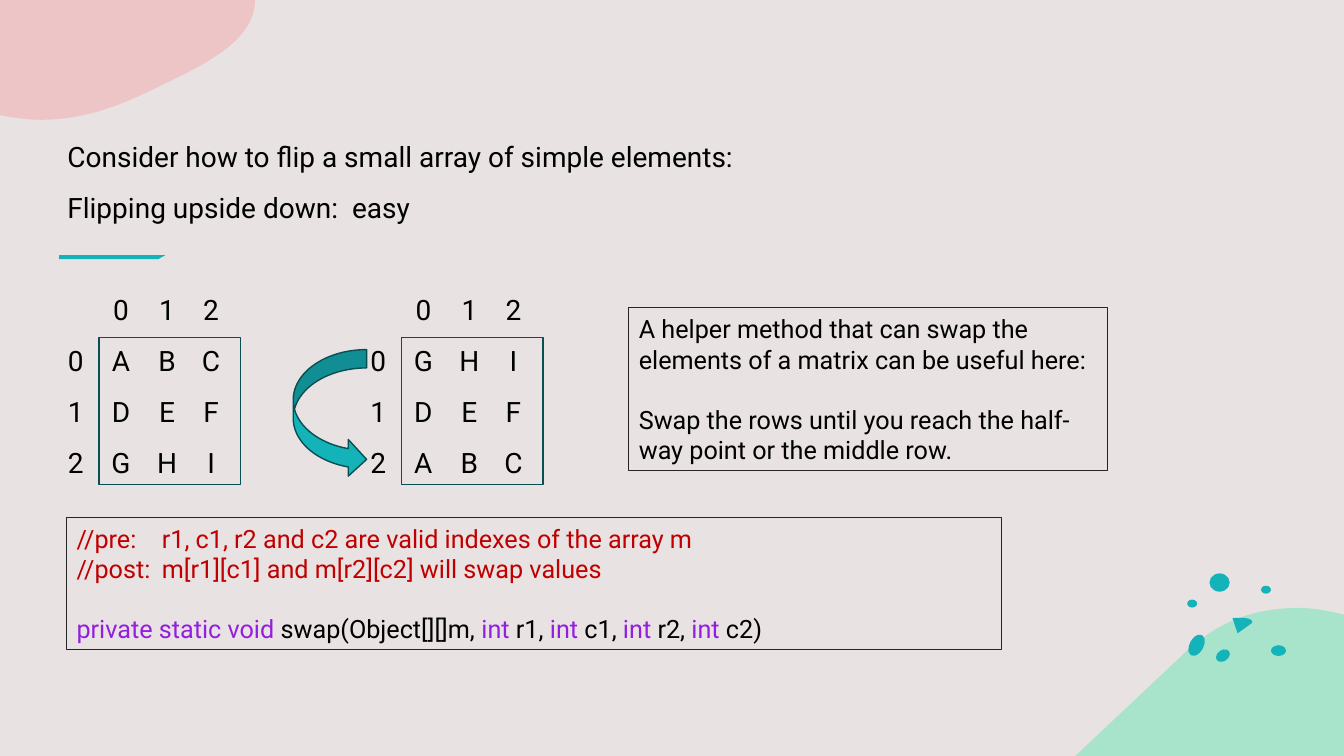
import pptx
import pptx.dml.color
import pptx.enum.shapes
import pptx.enum.text
import pptx.oxml
import pptx.oxml.ns
import pptx.util

Cm, Pt = pptx.util.Cm, pptx.util.Pt
SHAPES = pptx.enum.shapes.MSO_SHAPE

# Content
FONT = "Roboto"
BLACK, RED, PURPLE = "000000", "C00000", "941EDF"
TEAL, DARK_TEAL, CHARCOAL = "14B2B9", "094E51", "262626"

INTRO = [
    [("Consider how to flip a small array of simple elements:", BLACK)],
    [("Flipping upside down:  easy", BLACK)],
]
INDEXES = ["0", "1", "2"]
MATRIX = ["ABC", "DEF", "GHI"]
HELPER = [
    [("A helper method that can swap the elements of a matrix can be useful here:", BLACK)],
    [("Swap the rows until you reach the half-way point or the middle row.", BLACK)],
]
CODE = [
    [("//pre:\tr1, c1, r2 and c2 are valid indexes of the array m", RED)],
    [("//post:\tm[r1][c1] and m[r2][c2] will swap values", RED)],
    [("private static void", PURPLE), (" swap(Object[][]m, ", BLACK),
     ("int", PURPLE), (" r1, ", BLACK), ("int", PURPLE), (" c1, ", BLACK),
     ("int", PURPLE), (" r2, ", BLACK), ("int", PURPLE), (" c2)", BLACK)],
]

# Decoration outlines in centimetres: a start point, then segments
# of two numbers (a line) or six numbers (a curve)
GREEN_HILL = [(27.1, 19.05), (29.69, 16.61), (30.5, 15.8, 31.4, 15.32, 32.72, 15.32),
              (33.1, 15.32, 33.5, 15.4, 33.87, 15.49), (33.87, 19.05)]
PINK_CLOUD = [(0, 0), (6.43, 0), (6.43, 1.05, 5.1, 1.65, 4.01, 2.18),
              (3.12, 2.62, 2.18, 3.02, 1.04, 3.02), (0.7, 3.02, 0.35, 2.97, 0, 2.9)]
UNDERLINE = [(1.49, 6.43), (4.17, 6.43), (3.99, 6.53), (1.49, 6.53)]
# Left, top, width, height, turn
DOTS = [
    (30.48, 14.45, 0.51, 0.46, 0), (31.78, 14.76, 0.25, 0.2, 0),
    (29.92, 15.11, 0.25, 0.2, 0), (32.03, 16.26, 0.38, 0.27, 0),
    (30.63, 16.38, 0.38, 0.28, -35), (29.98, 15.97, 0.35, 0.58, 28),
]
WEDGE = [(31.06, 15.58), (31.3, 15.55, 31.6, 15.57, 31.55, 15.7), (31.19, 15.96)]

# Places in centimetres
CELL_STOPS = [0.46, 1.6, 2.76, 3.87]
MATRIX_SHIFT = 7.62
FRAME = (2.5, 8.5, 3.57, 3.71)


def rgb(value):
    return pptx.dml.color.RGBColor.from_string(value)


def style(shape, fill=None, line=None, width=1, opacity=None):
    shape.shadow.inherit = False
    if fill:
        shape.fill.solid()
        shape.fill.fore_color.rgb = rgb(fill)
    else:
        shape.fill.background()
    if opacity:
        color = shape.fill._xPr.find(".//" + pptx.oxml.ns.qn("a:srgbClr"))
        color.append(pptx.oxml.parse_xml(
            f'<a:alpha {pptx.oxml.ns.nsdecls("a")} val="{opacity * 1000}"/>'))
    if line:
        shape.line.color.rgb = rgb(line)
        shape.line.width = Pt(width)
    else:
        shape.line.fill.background()


def trace(outline, steps=16):
    points = [outline[0]]
    for segment in outline[1:]:
        if len(segment) == 2:
            points.append(segment)
            continue
        start, first, second, end = points[-1], segment[:2], segment[2:4], segment[4:]
        for step in range(1, steps + 1):
            t = step / steps
            u = 1 - t
            points.append(tuple(
                u**3 * a + 3 * u * u * t * b + 3 * u * t * t * c + t**3 * d
                for a, b, c, d in zip(start, first, second, end)))
    return [tuple(map(Cm, point)) for point in points]


def add_outline(page, outline, fill, opacity=None):
    points = trace(outline)
    builder = page.shapes.build_freeform(*points[0])
    builder.add_line_segments(points[1:], close=True)
    style(builder.convert_to_shape(), fill, opacity=opacity)


def add_tabs(para, stops, align):
    tabs = "".join(f'<a:tab pos="{Cm(stop)}" algn="{align}"/>' for stop in stops)
    para._p.get_or_add_pPr().append(pptx.oxml.parse_xml(
        f'<a:tabLst {pptx.oxml.ns.nsdecls("a")}>{tabs}</a:tabLst>'))


def add_text(page, place, paras, size, gaps, spacing=1, stops=(), align="l"):
    box = page.shapes.add_textbox(*map(Cm, place))
    frame = box.text_frame
    frame.word_wrap = True
    for index, (spans, gap) in enumerate(zip(paras, gaps)):
        para = frame.paragraphs[0] if index == 0 else frame.add_paragraph()
        if stops:
            add_tabs(para, stops, align)
        para.line_spacing = spacing
        if gap:
            para.space_before = Pt(gap)
        for text, color in spans:
            span = para.add_run()
            span.text = text
            span.font.name = FONT
            span.font.size = Pt(size)
            span.font.color.rgb = rgb(color)
    return box


def add_note(page, place, paras, gaps, stops=()):
    box = add_text(page, place, paras, 18, gaps, stops=stops)
    box.text_frame.vertical_anchor = pptx.enum.text.MSO_ANCHOR.MIDDLE
    style(box, line=CHARCOAL, width=0.75)


def main():
    deck = pptx.Presentation()
    deck.slide_width, deck.slide_height = Cm(33.87), Cm(19.05)
    page = deck.slides.add_slide(deck.slide_layouts[6])
    page.background.fill.solid()
    page.background.fill.fore_color.rgb = rgb("E8E2E2")

    # Decoration
    add_outline(page, GREEN_HILL, "6AE4B6", 50)
    add_outline(page, PINK_CLOUD, "F5A9AB", 50)
    for outline in (UNDERLINE, WEDGE):
        add_outline(page, outline, TEAL)
    for *place, turn in DOTS:
        dot = page.shapes.add_shape(SHAPES.OVAL, *map(Cm, place))
        dot.rotation = turn
        style(dot, TEAL)

    # Introduction
    add_text(page, (1.45, 3.3, 27.99, 2.6), INTRO, 20, [0, 10], 1.1)

    # Matrix before and after the flip, side by side
    header = ["", *INDEXES] * 2
    rows = [[label, *before, label, *after]
            for label, before, after in zip(INDEXES, MATRIX, reversed(MATRIX))]
    lines = [[("".join("\t" + cell for cell in row), BLACK)] for row in [header, *rows]]
    stops = [stop + shift for shift in (0, MATRIX_SHIFT) for stop in CELL_STOPS]
    grid = add_text(page, (1.45, 7.16, 13, 5.3), lines, 20, [0, 10, 10, 10], 1.1, stops, "ctr")
    grid.text_frame.margin_left = 0

    left, *rest = FRAME
    for shift in (0, MATRIX_SHIFT):
        frame = page.shapes.add_shape(SHAPES.RECTANGLE, *map(Cm, (left + shift, *rest)))
        style(frame, line=DARK_TEAL)
    arrow = page.shapes.add_shape(SHAPES.CURVED_RIGHT_ARROW, Cm(7.39), Cm(8.81), Cm(1.85), Cm(3.23))
    style(arrow, TEAL, DARK_TEAL)

    # Helper note and code
    add_note(page, (15.85, 7.75, 12.06, 4.11), HELPER, [0, 21.4])
    add_note(page, (1.68, 13.03, 23.57, 3.33), CODE, [0, 0, 21.4], [2.15])

    deck.save("out.pptx")


if __name__ == "__main__":
    main()
